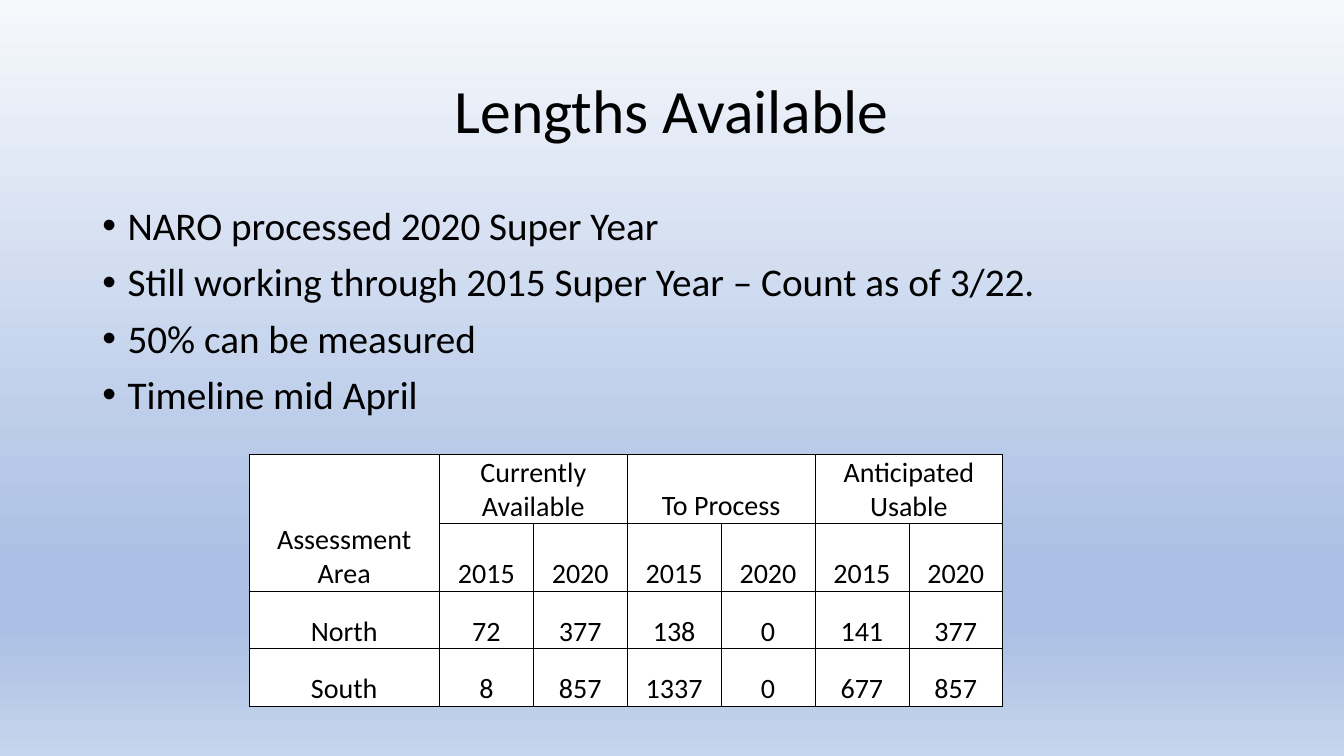
import copy
import dataclasses
import lxml.etree
import pptx
import pptx.dml.color
import pptx.enum.text
import pptx.oxml.ns
import pptx.util

COLS, ROWS = 160, 90
WIDE, HIGH = pptx.util.Inches(13.33), pptx.util.Inches(7.5)
ALIGN = pptx.enum.text.PP_ALIGN
ANCHOR = pptx.enum.text.MSO_ANCHOR
qn = pptx.oxml.ns.qn


@dataclasses.dataclass(frozen=True)
class Theme:
    font: str = "Calibri"
    ink: str = "000000"
    paper: str = "FFFFFF"
    fade: tuple = ((0, "F6F8FC"), (0.74, "ABC0E4"), (0.83, "ABC0E4"), (1, "C7D5ED"))
    title: int = 44
    body: int = 28
    cell: int = 20
    rule: float = 0.5


THEME = Theme()
POINTS = ["NARO processed 2020 Super Year",
          "Still working through 2015 Super Year – Count as of 3/22.",
          "50% can be measured",
          "Timeline mid April"]
GROUPS = ["Currently Available", "To Process", "Anticipated Usable"]
YEARS = ["2015", "2020"]
AREAS = {"North": [72, 377, 138, 0, 141, 377],
         "South": [8, 857, 1337, 0, 677, 857]}


def rgb(code):
    return pptx.dml.color.RGBColor.from_string(code)


def across(n):
    return round(WIDE * n / COLS)


def down(n):
    return round(HIGH * n / ROWS)


def area(left, top, width, height):
    return across(left), down(top), across(width), down(height)


def write(frame, lines, size, align=ALIGN.LEFT, anchor=ANCHOR.TOP,
          space=1.0, before=0, bullet=None):
    frame.word_wrap = True
    frame.vertical_anchor = anchor
    for i, line in enumerate(lines):
        para = frame.add_paragraph() if i else frame.paragraphs[0]
        para.alignment, para.line_spacing = align, space
        para.space_before = pptx.util.Pt(before)
        run = para.add_run()
        run.text = line
        run.font.name, run.font.size = THEME.font, pptx.util.Pt(size)
        run.font.color.rgb = rgb(THEME.ink)
        if bullet:
            props = para._p.get_or_add_pPr()
            dent = pptx.util.Inches(0.25)
            props.set("marL", str(dent))
            props.set("indent", str(-dent))
            lxml.etree.SubElement(props, qn("a:buFont")).set("typeface", "Arial")
            lxml.etree.SubElement(props, qn("a:buChar")).set("char", bullet)


def shade(slide):
    fill = slide.background.fill
    fill.gradient()
    fill.gradient_angle = 270
    stops = next(slide.element.iter(qn("a:gsLst")))
    while len(stops) < len(THEME.fade):
        stops.append(copy.deepcopy(stops[0]))
    for stop, (place, code) in zip(fill.gradient_stops, THEME.fade):
        stop.position = place
        stop.color.rgb = rgb(code)


def head(slide, text):
    box = slide.shapes.title
    box.left, box.top, box.width, box.height = area(11, 4.8, 138, 17.4)
    box.text_frame.auto_size = pptx.enum.text.MSO_AUTO_SIZE.NONE
    write(box.text_frame, [text], THEME.title, align=ALIGN.CENTER,
          anchor=ANCHOR.MIDDLE, space=0.9)


def points(slide, lines):
    box = slide.shapes.add_textbox(*area(11, 24, 138, 57.1))
    write(box.text_frame, lines, THEME.body, space=0.9, before=10, bullet="•")


def edge(cell):
    props = cell._tc.get_or_add_tcPr()
    for side in "LRTB":
        line = lxml.etree.SubElement(props, qn("a:ln" + side))
        line.set("w", str(pptx.util.Pt(THEME.rule)))
        fill = lxml.etree.SubElement(line, qn("a:solidFill"))
        lxml.etree.SubElement(fill, qn("a:srgbClr")).set("val", THEME.ink)


def counts(slide):
    top = ["Assessment Area"] + [t for name in GROUPS for t in (name, "")]
    data = [top, [""] + YEARS * len(GROUPS)]
    data += [[name] + [str(n) for n in nums] for name, nums in AREAS.items()]
    frame = slide.shapes.add_table(len(data), len(top), *area(29.64, 54.12, 89.76, 28.8))
    table = frame.table
    table.first_row = table.horz_banding = False
    for i, col in enumerate(table.columns):
        col.width = across(11.18 if i else 22.68)
    for row in table.rows:
        row.height = down(6.87)
    frame.height = down(28.8)
    table.cell(0, 0).merge(table.cell(1, 0))
    for i in range(1, len(top), len(YEARS)):
        table.cell(0, i).merge(table.cell(0, i + len(YEARS) - 1))
    for r, line in enumerate(data):
        for c, text in enumerate(line):
            cell = table.cell(r, c)
            edge(cell)
            cell.fill.solid()
            cell.fill.fore_color.rgb = rgb(THEME.paper)
            cell.margin_left = cell.margin_right = cell.margin_top = pptx.util.Inches(0.01)
            cell.margin_bottom = 0
            cell.vertical_anchor = ANCHOR.BOTTOM
            if text:
                write(cell.text_frame, [text], THEME.cell, align=ALIGN.CENTER,
                      anchor=None)


def main():
    deck = pptx.Presentation()
    deck.slide_width, deck.slide_height = WIDE, HIGH
    slide = deck.slides.add_slide(deck.slide_layouts[5])
    shade(slide)
    head(slide, "Lengths Available")
    points(slide, POINTS)
    counts(slide)
    deck.save("out.pptx")


main()
